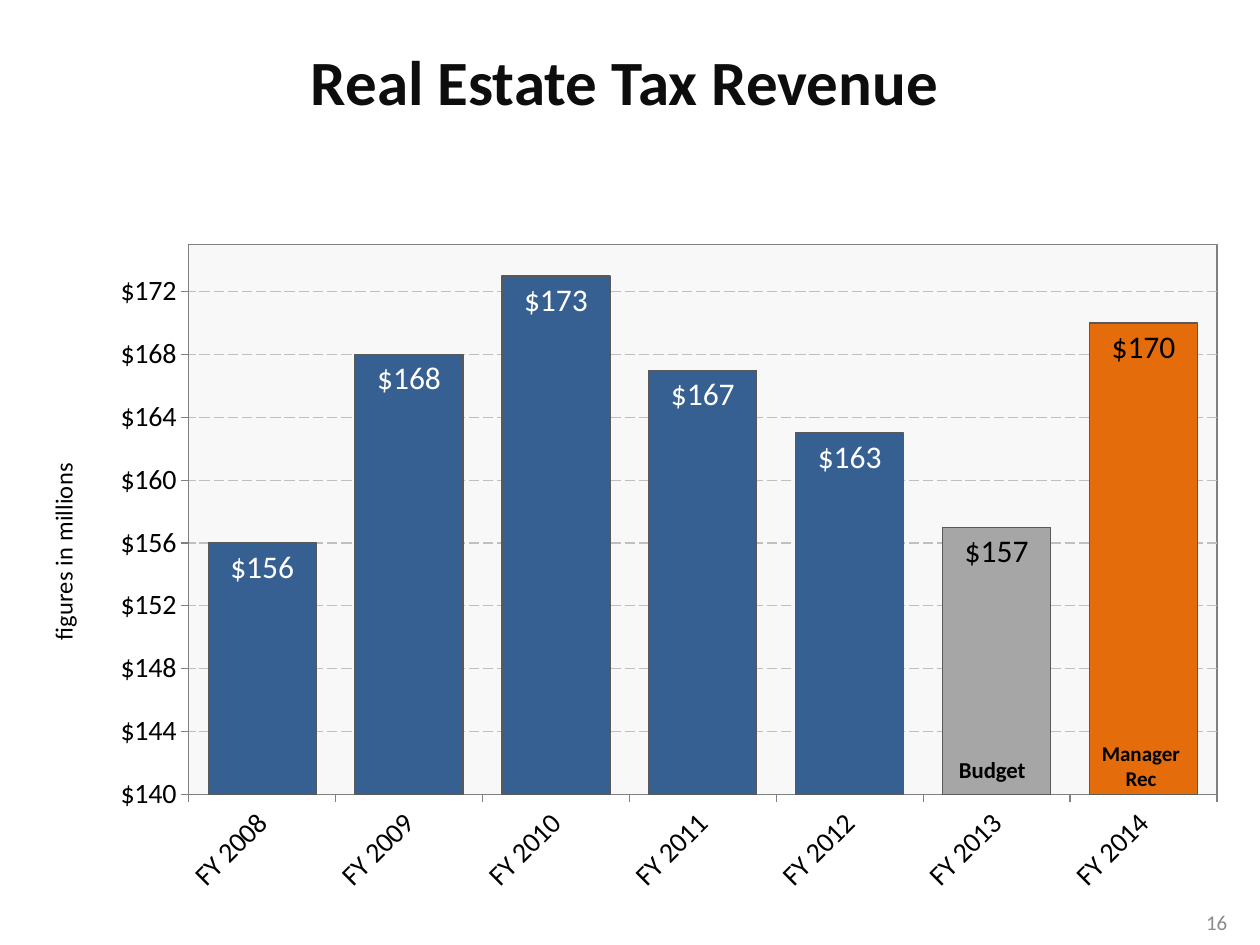
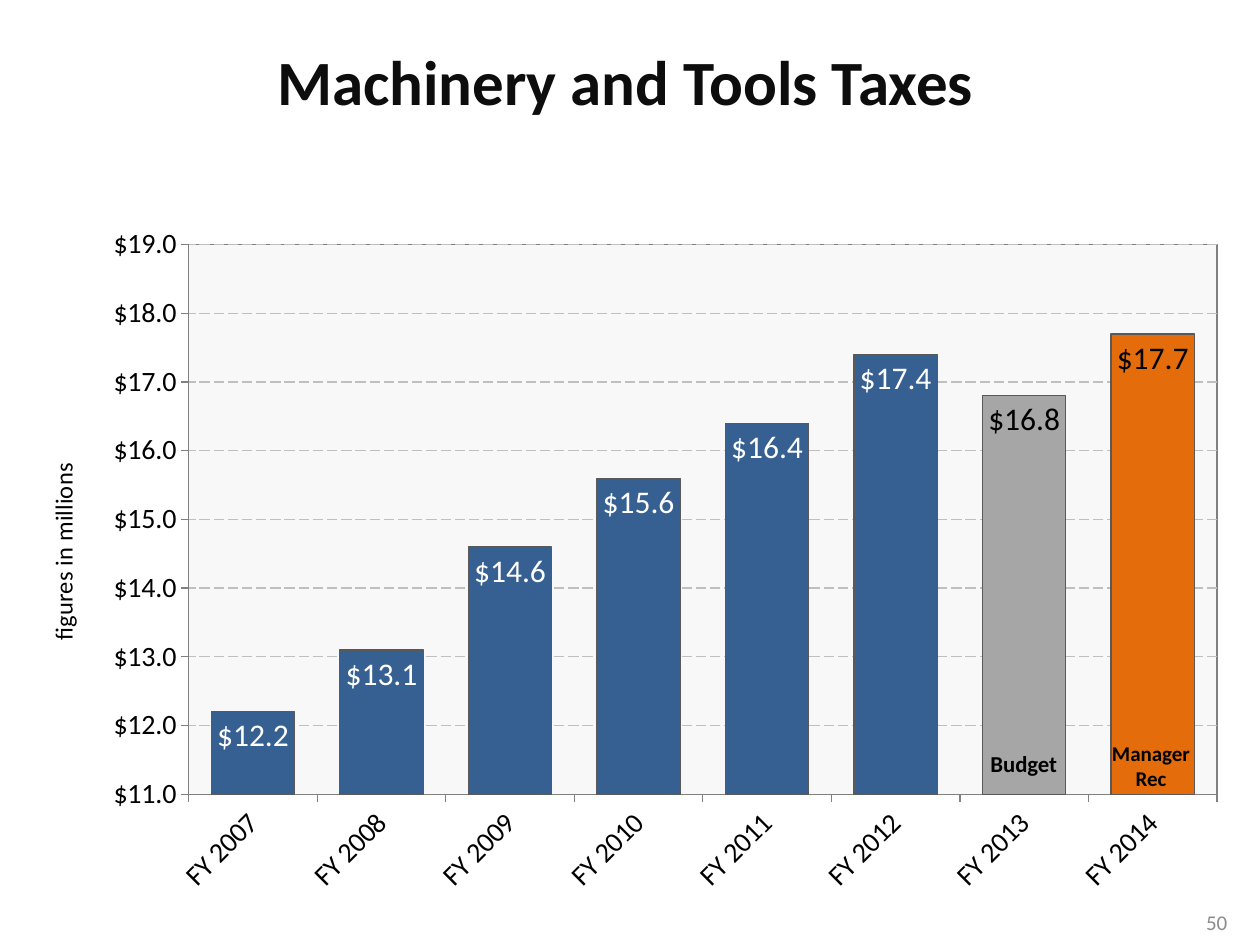
from pptx import Presentation
from pptx.chart.data import CategoryChartData
from pptx.dml.color import RGBColor
from pptx.enum.chart import XL_CHART_TYPE, XL_LABEL_POSITION, XL_TICK_MARK
from pptx.enum.dml import MSO_LINE
from pptx.enum.text import MSO_ANCHOR, PP_ALIGN
from pptx.oxml import parse_xml
from pptx.oxml.ns import nsdecls, qn
from pptx.util import Inches, Pt

COLUMN = XL_CHART_TYPE.COLUMN_CLUSTERED
IN_END = XL_LABEL_POSITION.INSIDE_END
OUT = XL_TICK_MARK.OUTSIDE
DASH = MSO_LINE.LONG_DASH
TOP, MID = MSO_ANCHOR.TOP, MSO_ANCHOR.MIDDLE
LEFT, MIDDLE, RIGHT = PP_ALIGN.LEFT, PP_ALIGN.CENTER, PP_ALIGN.RIGHT
FONT = "Calibri"
COLORS = {
    "title": "0D0D0D", "text": "000000", "label": "FFFFFF", "page": "8C8C8C",
    "actual": "376092", "budget": "A6A6A6", "plan": "E46C0A",
    "edge": "595959", "axis": "808080", "grid": "BFBFBF", "plot": "F2F2F2",
}


def rgb(name):
    """Return the named colour."""
    return RGBColor.from_string(COLORS[name])


def style(font, size, color="text", bold=False):
    """Set face, size, colour and weight of a font."""
    font.name, font.size, font.bold = FONT, Pt(size), bold
    font.color.rgb = rgb(color)


def rule(line, color):
    """Give a line its colour and the common width."""
    line.color.rgb = rgb(color)
    line.width = Pt(0.75)


def add_text(slide, text, box, size=12, color="text", bold=False,
             align=LEFT, anchor=TOP, wrap=False, pad=0.1):
    """Add a text box with one paragraph for each line of text."""
    frame = slide.shapes.add_textbox(*map(Inches, box)).text_frame
    frame.word_wrap, frame.vertical_anchor = wrap, anchor
    frame.margin_left = frame.margin_right = Inches(pad)
    for i, part in enumerate(text.split("\n")):
        para = frame.add_paragraph() if i else frame.paragraphs[0]
        para.alignment = align
        run = para.add_run()
        run.text = part
        style(run.font, size, color, bold)


def add_note(slide, text, box, size):
    """Add a bold note centred at the foot of a bar."""
    add_text(slide, text, box, size=size, bold=True, align=MIDDLE, pad=0)


def layout(**parts):
    """Build a manual chart layout from its parts."""
    tags = "".join(f'<c:{key} val="{val}"/>' for key, val in parts.items())
    return parse_xml(f'<c:layout {nsdecls("c")}><c:manualLayout>{tags}'
                     "</c:manualLayout></c:layout>")


def place(parent, spot, **parts):
    """Put a manual layout into a chart element."""
    for old in parent.findall(qn("c:layout")):
        parent.remove(old)
    parent.insert(spot, layout(xMode="edge", yMode="edge", **parts))


def set_plot(chart):
    """Place, fill and frame the plot area."""
    area = chart._chartSpace.chart.plotArea
    place(area, 0, x=0.123, y=0.087, w=0.859, h=0.727)
    inner = parse_xml(f'<c:layoutTarget {nsdecls("c")} val="inner"/>')
    area[0][0].insert(0, inner)
    area.append(parse_xml(
        f'<c:spPr {nsdecls("c", "a")}><a:solidFill>'
        f'<a:srgbClr val="{COLORS["plot"]}"><a:alpha val="51000"/></a:srgbClr>'
        f'</a:solidFill><a:ln w="9525"><a:solidFill>'
        f'<a:srgbClr val="{COLORS["axis"]}"/></a:solidFill></a:ln></c:spPr>'))


def set_axes(chart, low, high, step, form):
    """Scale and style both axes."""
    years, money = chart.category_axis, chart.value_axis
    for axis in (years, money):
        axis.major_tick_mark = OUT
        rule(axis.format.line, "axis")
        style(axis.tick_labels.font, 16)
    body = years._element.find(qn("c:txPr")).find(qn("a:bodyPr"))
    body.set("rot", "-2700000")
    body.set("vert", "horz")
    money.minimum_scale, money.maximum_scale = low, high
    money.major_unit = step
    money.tick_labels.number_format = form
    money.tick_labels.number_format_is_linked = False
    grid = money.major_gridlines.format.line
    rule(grid, "grid")
    grid.dash_style = DASH
    title = money.axis_title
    title.text_frame.text = "figures in millions"
    style(title.text_frame.paragraphs[0].runs[0].font, 14)
    place(title._element, 1, x=0, y=0.37)


def set_bars(plot, gap, form):
    """Colour the bars and label them, with the last two set apart."""
    plot.gap_width, plot.vary_by_categories = gap, False
    series = plot.series[0]
    series.format.fill.solid()
    series.format.fill.fore_color.rgb = rgb("actual")
    rule(series.format.line, "edge")
    labels = series.data_labels
    labels.show_value, labels.position = True, IN_END
    labels.number_format, labels.number_format_is_linked = form, False
    style(labels.font, 18, "label")
    last = len(series.values) - 1
    for i, color in ((last - 1, "budget"), (last, "plan")):
        point = series.points[i]
        point.format.fill.solid()
        point.format.fill.fore_color.rgb = rgb(color)
        rule(point.format.line, "edge")
        style(point.data_label.font, 18)
        point.data_label.position = IN_END


def add_bars(slide, start, values, scale, gap, form):
    """Add the column chart of revenue by fiscal year."""
    data = CategoryChartData(number_format=form)
    data.categories = [f"FY {start + i}" for i in range(len(values))]
    data.add_series("Series 1", values)
    box = map(Inches, (0.33, 1.42, 9.5, 6))
    chart = slide.shapes.add_chart(COLUMN, *box, data).chart
    chart.has_legend = chart.has_title = False
    style(chart.font, 18)
    set_axes(chart, *scale, form)
    set_bars(chart.plots[0], gap, form)
    set_plot(chart)


def add_page(deck, title, left, width, page, notes, **bars):
    """Add a slide with title, chart, bar notes and page number."""
    slide = deck.slides.add_slide(deck.slide_layouts[6])
    add_text(slide, title, (left, 0.29, width, 0.71), size=36,
             color="title", bold=True)
    add_bars(slide, **bars)
    add_text(slide, page, (7.51, 7.12, 2.33, 0.4), color="page",
             align=RIGHT, anchor=MID, wrap=True)
    (x, y), plan = notes
    add_note(slide, "Budget", (x, y, 0.67, 0.35), 13)
    add_note(slide, "Manager\nRec", (plan, 5.83, 0.75, 0.4), 12)


def main():
    """Build both slides and save the deck."""
    deck = Presentation()
    deck.slide_width, deck.slide_height = Inches(10), Inches(7.5)
    add_page(deck, "Real Estate Tax Revenue", 2.37, 5.23, "16",
             ((7.54, 5.95), 8.68), start=2008,
             values=(156, 168, 173, 167, 163, 157, 170),
             scale=(140, 175, 4), gap=36, form="\\$#,##0")
    add_page(deck, "Machinery and Tools Taxes", 2.1, 5.79, "50",
             ((7.79, 5.9), 8.76), start=2007,
             values=(12.2, 13.1, 14.6, 15.6, 16.4, 17.4, 16.8, 17.7),
             scale=(11, 19, 1), gap=54, form="\\$#,##0.0")
    deck.save("out.pptx")


if __name__ == "__main__":
    main()
